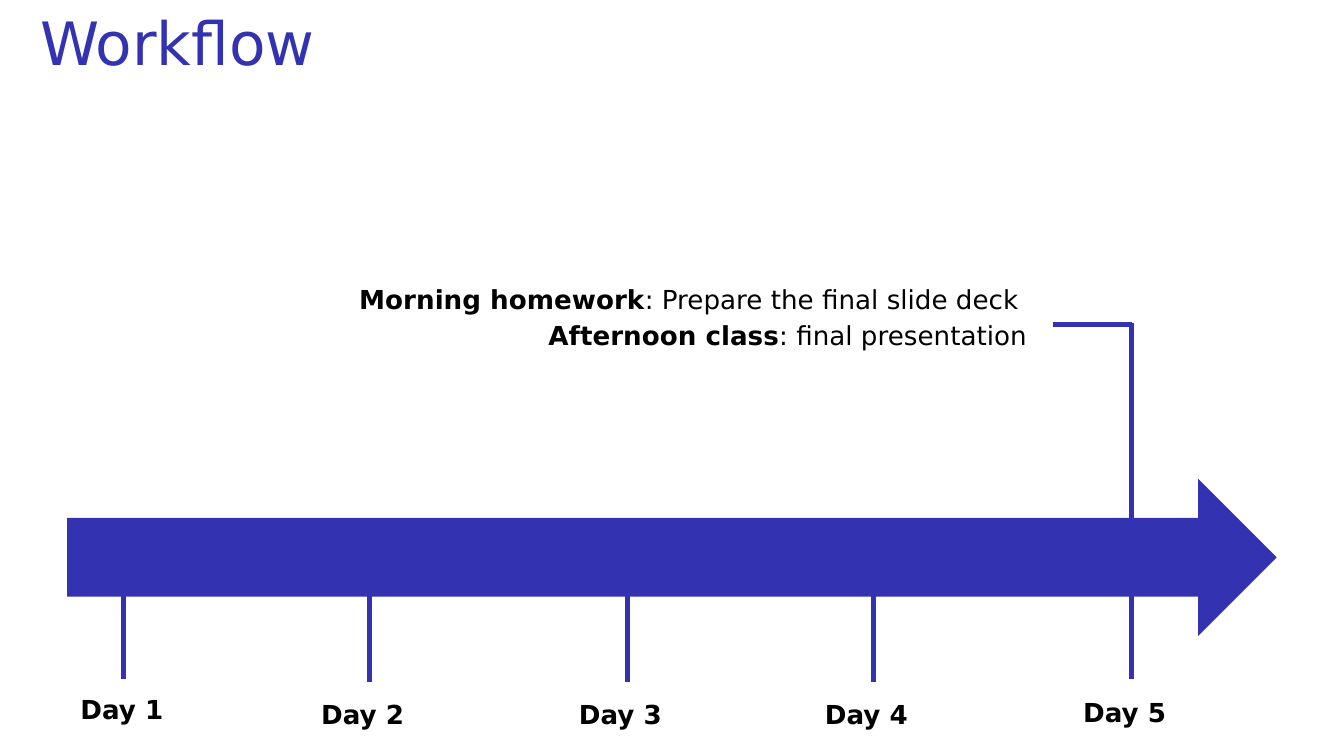
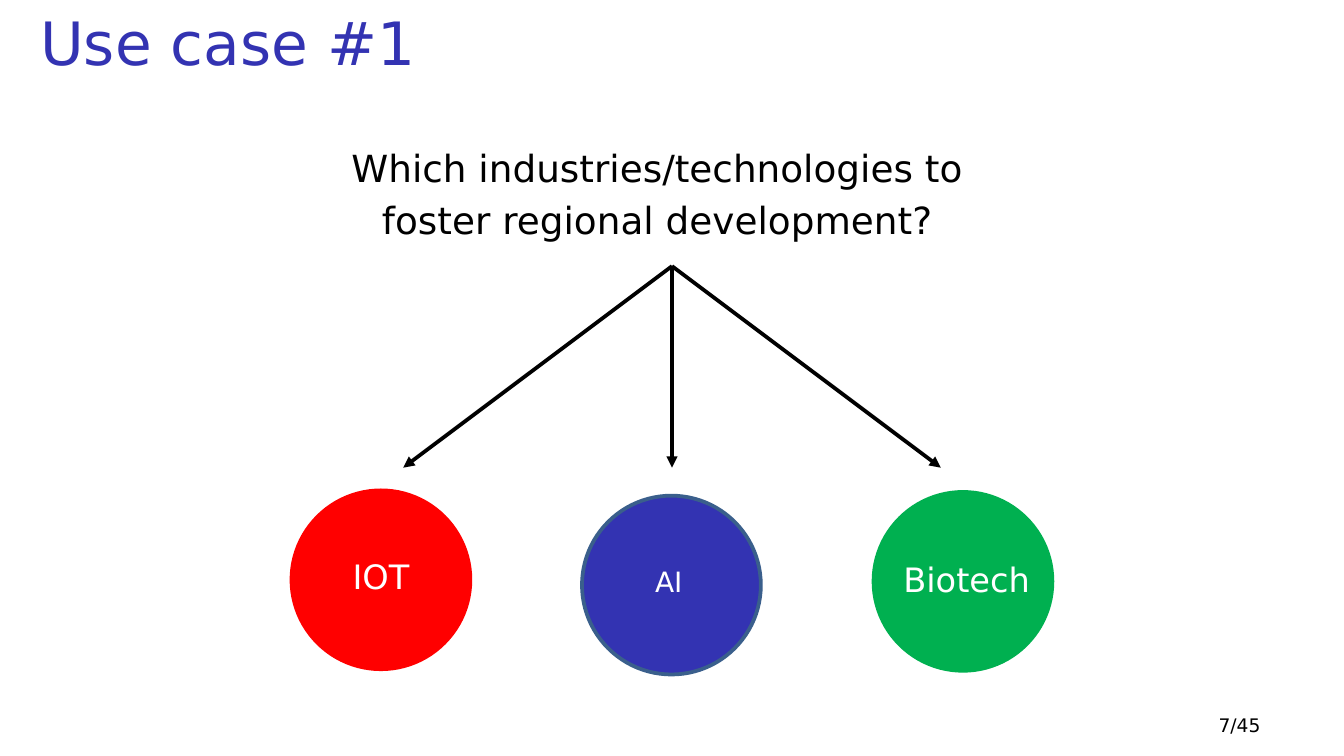
from dataclasses import dataclass

from lxml.etree import SubElement
from pptx import Presentation
from pptx.dml.color import RGBColor
from pptx.enum.shapes import MSO_CONNECTOR as Connector, MSO_SHAPE as Shape
from pptx.enum.text import MSO_ANCHOR as Anchor, PP_ALIGN as Align
from pptx.oxml.ns import qn
from pptx.util import Cm, Pt

FONT = "DejaVu Sans"
BLUE = RGBColor(0x33, 0x33, 0xB2)
STEEL = RGBColor(0x3A, 0x5F, 0x8C)
RED = RGBColor(0xFF, 0x00, 0x00)
GREEN = RGBColor(0x00, 0xB0, 0x50)
BLACK = RGBColor(0x00, 0x00, 0x00)
WHITE = RGBColor(0xFF, 0xFF, 0xFF)


@dataclass
class Day:
    name: str
    x: float
    tick_top: float
    tick_bottom: float
    label_left: float
    label_top: float


@dataclass
class Topic:
    name: str
    left: float
    top: float
    fill: RGBColor
    outline: RGBColor
    label_left: float
    label_top: float
    size: float
    arrow_x: float


DAYS = [
    Day("Day 1", 2.34, 11.02, 12.83, 1.27, 12.98),
    Day("Day 2", 6.99, 11.13, 12.9, 5.82, 13.08),
    Day("Day 3", 11.86, 11.13, 12.9, 10.69, 13.08),
    Day("Day 4", 16.51, 11.13, 12.9, 15.34, 13.08),
    Day("Day 5", 21.39, 11.02, 12.83, 20.22, 13.03),
]
TOPICS = [
    Topic("IOT", 5.51, 9.27, RED, RED, 4.75, 10.39, 18, 7.62),
    Topic("AI", 11, 9.37, BLUE, STEEL, 10.19, 10.54, 15, 12.7),
    Topic("Biotech", 16.51, 9.3, GREEN, GREEN, 15.82, 10.44, 18, 17.78),
]


def write_text(text_frame, lines, *, size: float, color=BLACK, bold=False,
               align=Align.LEFT, space_before=0.2) -> None:
    """Write lines; a line is a string or a list of (text, bold) runs."""
    text_frame.word_wrap = True
    for index, line in enumerate(lines):
        paragraph = text_frame.add_paragraph() if index else text_frame.paragraphs[0]
        paragraph.alignment = align
        paragraph.space_before = Pt(size * space_before)
        runs = [(line, bold)] if isinstance(line, str) else line
        for text, is_bold in runs:
            run = paragraph.add_run()
            run.text = text
            run.font.name = FONT
            run.font.size = Pt(size)
            run.font.bold = is_bold
            run.font.color.rgb = color


def add_text(slide, left: float, top: float, width: float, height: float,
             lines, **text_format):
    box = slide.shapes.add_textbox(Cm(left), Cm(top), Cm(width), Cm(height))
    write_text(box.text_frame, lines, **text_format)
    return box


def add_shape(slide, kind, left: float, top: float, width: float, height: float,
              fill: RGBColor, outline: RGBColor | None = None) -> None:
    shape = slide.shapes.add_shape(kind, Cm(left), Cm(top), Cm(width), Cm(height))
    shape.shadow.inherit = False
    shape.fill.solid()
    shape.fill.fore_color.rgb = fill
    if outline is None:
        shape.line.fill.background()
    else:
        shape.line.color.rgb = outline
        shape.line.width = Pt(2)


def add_line(slide, x1: float, y1: float, x2: float, y2: float,
             color=BLUE, width=2.75, arrow=False) -> None:
    connector = slide.shapes.add_connector(
        Connector.STRAIGHT, Cm(x1), Cm(y1), Cm(x2), Cm(y2))
    connector.line.color.rgb = color
    connector.line.width = Pt(width)
    properties = connector.element.spPr
    if arrow:
        SubElement(properties.find(qn("a:ln")), qn("a:tailEnd"), type="triangle")
    SubElement(properties, qn("a:effectLst"))


def add_titled_slide(presentation, title: str):
    slide = presentation.slides.add_slide(presentation.slide_layouts[5])
    shape = slide.shapes.title
    shape.left, shape.top = Cm(0), Cm(0)
    shape.width, shape.height = Cm(24.77), Cm(1.59)
    shape.text_frame.margin_left = Cm(0.76)
    shape.text_frame.vertical_anchor = Anchor.MIDDLE
    write_text(shape.text_frame, [title], size=32, color=BLUE, space_before=0)
    return slide


def build_workflow(presentation) -> None:
    slide = add_titled_slide(presentation, "Workflow")
    add_shape(slide, Shape.RIGHT_ARROW, 1.27, 9.05, 22.86, 2.97, BLUE)

    # Days below the time arrow
    for day in DAYS:
        add_line(slide, day.x, day.tick_top, day.x, day.tick_bottom)
        add_text(slide, day.label_left, day.label_top, 2.33, 1.06,
                 [day.name], size=14, bold=True)

    # Plan for the last day
    last_x = DAYS[-1].x
    add_line(slide, last_x, 6.1, last_x, 11)
    add_line(slide, 19.9, 6.14, last_x, 6.14)
    add_text(slide, 5.74, 5.23, 13.92, 1.73, [
        [("Morning homework", True), (": Prepare the final slide deck ", False)],
        [("Afternoon class", True), (": final presentation", False)],
    ], size=14, align=Align.RIGHT)


def build_use_case(presentation) -> None:
    slide = add_titled_slide(presentation, "Use case #1")
    add_text(slide, 0.89, 2.62, 23.29, 2.79, [
        "Which industries/technologies to ",
        "foster regional development? ",
    ], size=20, align=Align.CENTER)

    # Topics that the question leads to
    for topic in TOPICS:
        add_shape(slide, Shape.OVAL, topic.left, topic.top, 3.38, 3.38,
                  topic.fill, topic.outline)
        add_line(slide, 12.7, 5.03, topic.arrow_x, 8.84,
                 color=BLACK, width=2, arrow=True)
        add_text(slide, topic.label_left, topic.label_top, 4.9, 1.04,
                 [topic.name], size=topic.size, color=WHITE, align=Align.CENTER)

    # Page number
    page = add_text(slide, 0.89, 12.98, 23.88, 0.97, ["7/45"],
                    size=10, align=Align.RIGHT)
    page.text_frame.vertical_anchor = Anchor.BOTTOM
    page.text_frame.margin_right = Cm(0.95)
    page.text_frame.margin_bottom = Cm(0.03)


def main() -> None:
    presentation = Presentation()
    presentation.slide_width = Cm(25.4)
    presentation.slide_height = Cm(14.29)
    build_workflow(presentation)
    build_use_case(presentation)
    presentation.save("out.pptx")


if __name__ == "__main__":
    main()
